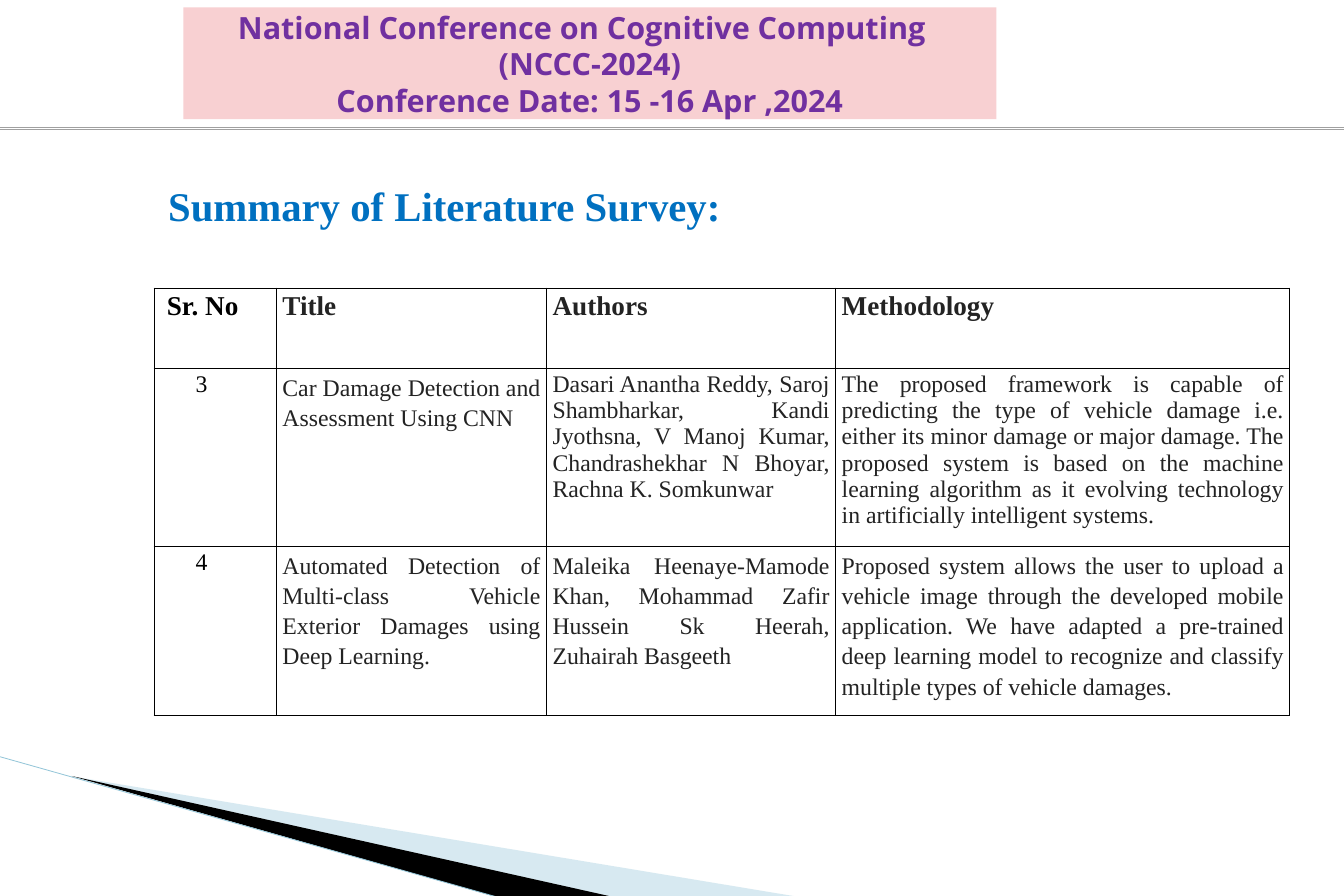
import lxml.etree
import pptx
import pptx.dml.color
import pptx.enum.shapes
import pptx.enum.text
import pptx.oxml.ns
import pptx.util

Inches = pptx.util.Inches
Pt = pptx.util.Pt
RGBColor = pptx.dml.color.RGBColor
ALIGN = pptx.enum.text.PP_ALIGN
qn = pptx.oxml.ns.qn

BLACK = RGBColor(0x00, 0x00, 0x00)
CHARCOAL = RGBColor(0x23, 0x23, 0x23)
GREY = RGBColor(0xA0, 0xA0, 0xA0)
BLUE = RGBColor(0x00, 0x70, 0xC0)
PURPLE = RGBColor(0x70, 0x30, 0xA0)
PINK = RGBColor(0xF8, 0xD0, 0xD2)
PALE_BLUE = RGBColor(0x9C, 0xCA, 0xDC)
EDGE_BLUE = RGBColor(0x93, 0xC5, 0xD8)

SERIF = "Times New Roman"
BANNER_LINES = [
    "National Conference on Cognitive Computing",
    "(NCCC-2024)",
    "Conference Date: 15 -16 Apr ,2024",
]
BANNER_RIGHT_MARGINS = [0.26, 0, 0]
COLUMN_WIDTHS = [2, 4.42, 4.73, 7.43]
ROW_HEIGHTS = [1.31, 2.91, 2.77]
HEADINGS = ["Sr. No", "Title", "Authors", "Methodology"]
PAPERS = [
    [
        "3",
        "Car Damage Detection and Assessment Using CNN",
        "Dasari Anantha Reddy, Saroj Shambharkar, Kandi Jyothsna, V Manoj Kumar, "
        "Chandrashekhar N Bhoyar, Rachna K. Somkunwar",
        "The proposed framework is capable of predicting the type of vehicle damage i.e. "
        "either its minor damage or major damage. The proposed system is based on the "
        "machine learning algorithm as it evolving technology in artificially intelligent "
        "systems.",
    ],
    [
        "4",
        "Automated Detection of Multi-class Vehicle Exterior Damages using Deep Learning.",
        "Maleika Heenaye-Mamode Khan, Mohammad Zafir Hussein Sk Heerah, Zuhairah Basgeeth",
        "Proposed system allows the user to upload a vehicle image through the developed "
        "mobile application. We have adapted a pre-trained deep learning model to recognize "
        "and classify multiple types of vehicle damages.",
    ],
]
LOOSE_CELLS = {(1, 1), (2, 1), (2, 2), (2, 3)}


def write_text(frame, lines, size, color, font=SERIF, bold=False, align=ALIGN.LEFT,
               spacing=1.0, after=0, indent=0):
    """Fill a text frame with one formatted paragraph per line."""
    frame.word_wrap = True
    frame.vertical_anchor = pptx.enum.text.MSO_ANCHOR.TOP
    for index, line in enumerate(lines):
        para = frame.add_paragraph() if index else frame.paragraphs[0]
        para.alignment = align
        para.line_spacing = spacing
        para.space_before = Pt(0)
        para.space_after = Pt(after)
        if indent:
            para._p.get_or_add_pPr().set("marL", str(Inches(indent)))
        span = para.add_run()
        span.text = line
        span.font.name = font
        span.font.size = Pt(size)
        span.font.bold = bold
        span.font.color.rgb = color


def set_insets(frame):
    """Give a frame its narrow insets and a fixed size."""
    frame.auto_size = pptx.enum.text.MSO_AUTO_SIZE.NONE
    frame.margin_left = frame.margin_right = frame.margin_bottom = 0
    frame.margin_top = Inches(0.02)


def add_wedge(page, points, color, opacity=100):
    """Draw a filled outline through points given in inches."""
    corners = [(Inches(x), Inches(y)) for x, y in points]
    builder = page.shapes.build_freeform(*corners[0])
    builder.add_line_segments(corners[1:], close=True)
    wedge = builder.convert_to_shape()
    wedge.shadow.inherit = False
    wedge.fill.solid()
    wedge.fill.fore_color.rgb = color
    wedge.line.fill.background()
    if opacity < 100:
        tint = wedge._element.spPr.find(".//" + qn("a:srgbClr"))
        lxml.etree.SubElement(tint, qn("a:alpha")).set("val", str(opacity * 1000))


def add_line(page, start, end, color, width):
    """Draw a straight line without a shadow."""
    line = page.shapes.add_connector(
        pptx.enum.shapes.MSO_CONNECTOR.STRAIGHT, *map(Inches, start + end))
    line.line.color.rgb = color
    line.line.width = Pt(width)
    lxml.etree.SubElement(line._element.spPr, qn("a:effectLst"))


def add_banner(page):
    """Add the conference banner and the double rule below it."""
    banner = page.shapes.add_shape(
        pptx.enum.shapes.MSO_SHAPE.RECTANGLE,
        Inches(3), Inches(0.12), Inches(13.3), Inches(1.83))
    banner.shadow.inherit = False
    banner.fill.solid()
    banner.fill.fore_color.rgb = PINK
    banner.line.fill.background()
    set_insets(banner.text_frame)
    write_text(banner.text_frame, BANNER_LINES, 36, PURPLE, font="Open Sans", bold=True,
               align=ALIGN.CENTER)
    for para, margin in zip(banner.text_frame.paragraphs, BANNER_RIGHT_MARGINS):
        para._p.get_or_add_pPr().set("marR", str(Inches(margin)))
    for height in (2.09, 2.12):
        add_line(page, (0, height), (21.98, height), GREY, 0.75)


def add_borders(cell):
    """Outline a table cell in black."""
    properties = cell._tc.get_or_add_tcPr()
    for side in ("a:lnL", "a:lnR", "a:lnT", "a:lnB"):
        border = lxml.etree.SubElement(properties, qn(side), w=str(Pt(1)))
        fill = lxml.etree.SubElement(border, qn("a:solidFill"))
        lxml.etree.SubElement(fill, qn("a:srgbClr"), val=str(BLACK))


def add_survey_table(page):
    """Add the table of surveyed papers."""
    rows = [HEADINGS] + PAPERS
    table = page.shapes.add_table(
        len(rows), len(HEADINGS), Inches(2.52), Inches(4.71),
        Inches(sum(COLUMN_WIDTHS)), Inches(sum(ROW_HEIGHTS))).table
    table.first_row = False
    table.horz_banding = False
    for column, width in zip(table.columns, COLUMN_WIDTHS):
        column.width = Inches(width)
    for row_index, row in enumerate(rows):
        table.rows[row_index].height = Inches(ROW_HEIGHTS[row_index])
        for column_index, text in enumerate(row):
            cell = table.cell(row_index, column_index)
            add_borders(cell)
            cell.fill.background()
            cell.margin_left = cell.margin_right = Inches(0.1)
            cell.margin_top = cell.margin_bottom = Inches(0.05)
            heading = row_index == 0
            number = column_index == 0
            loose = (row_index, column_index) in LOOSE_CELLS
            write_text(
                cell.text_frame, [text],
                size=32 if heading else 28,
                color=BLACK if number else CHARCOAL,
                bold=heading,
                align=ALIGN.LEFT if heading or number else ALIGN.JUSTIFY,
                spacing=1.15 if loose else 1.0,
                after=10 if loose else 0,
                indent=(0.11 if heading else 0.58) if number else 0)


def add_title(page):
    """Place and format the slide title."""
    title = page.shapes.title
    title.left, title.top = Inches(2.75), Inches(2.94)
    title.width, title.height = Inches(16.47), Inches(0.9)
    set_insets(title.text_frame)
    write_text(title.text_frame, ["Summary of Literature Survey:"], 48, BLUE, bold=True)


def main():
    """Build the slide and save it."""
    deck = pptx.Presentation()
    deck.slide_width, deck.slide_height = Pt(1583), Pt(1055)
    page = deck.slides.add_slide(deck.slide_layouts.get_by_name("Title Only"))
    add_wedge(page, [(1.2, 12.7), (13.08, 14.67), (10.02, 14.67)], PALE_BLUE, opacity=40)
    add_wedge(page, [(1.17, 12.69), (10.04, 14.67), (8.17, 14.68)], BLACK)
    add_line(page, (-0.02, 12.37), (8.17, 14.68), EDGE_BLUE, 0.95)
    add_title(page)
    add_banner(page)
    add_survey_table(page)
    deck.save("out.pptx")


if __name__ == "__main__":
    main()
